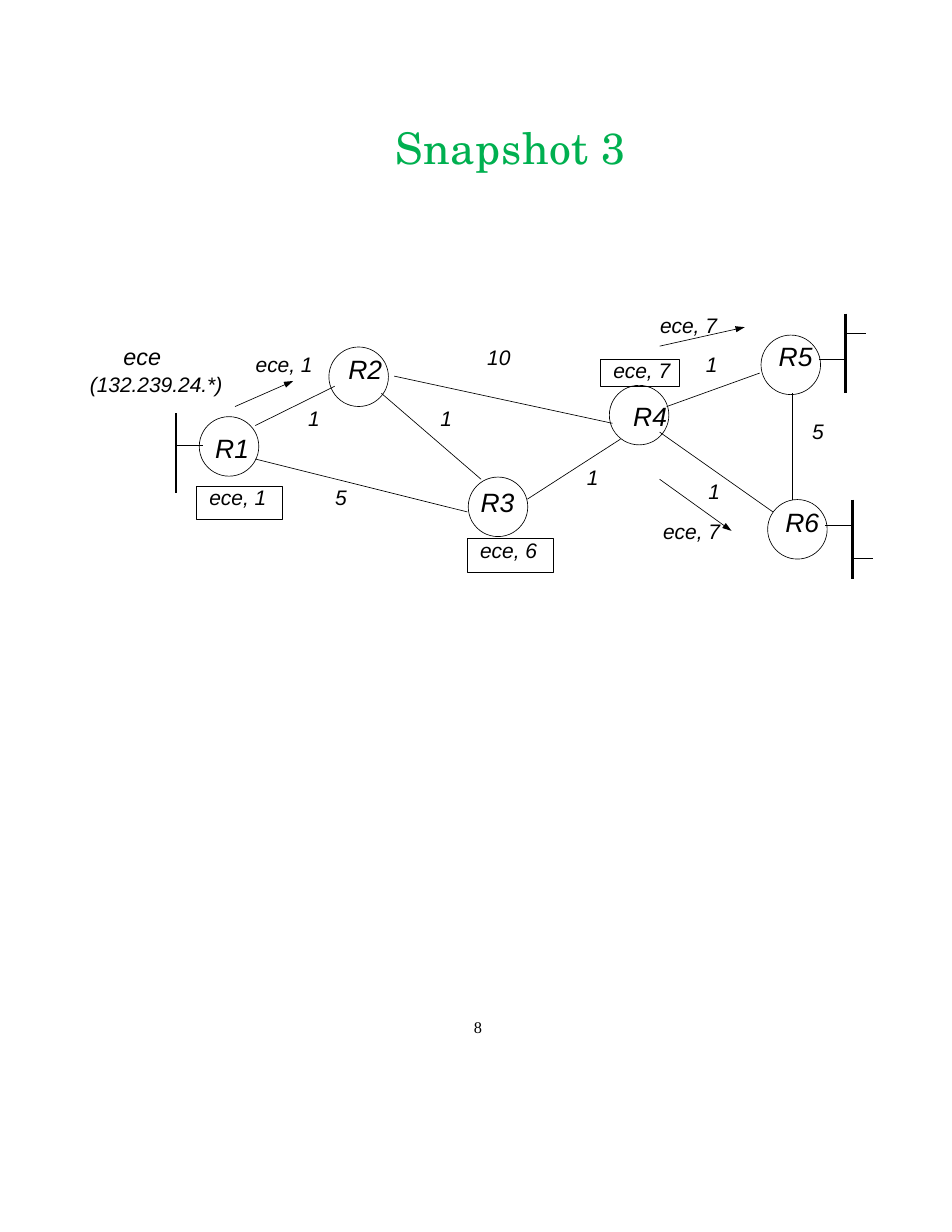
from dataclasses import dataclass
from lxml import etree
from pptx import Presentation
from pptx.dml.color import RGBColor
from pptx.enum import shapes, text
from pptx.oxml.ns import qn
from pptx.util import Cm, Pt


@dataclass(frozen=True)
class Theme:
    ink: RGBColor = RGBColor(0, 0, 0)
    green: RGBColor = RGBColor(0x00, 0xB0, 0x50)
    sans: str = "Arial"
    serif: str = "Times New Roman"
    school: str = "TeX Gyre Schola"
    title: float = 28
    node: float = 17
    host: float = 15
    label: float = 13.5
    page: float = 10.5
    thin: float = 0.43
    thick: float = 1.71


class Sketch:
    def __init__(self, slide, theme):
        self.slide, self.theme = slide, theme

    def words(self, frame, line, size=None, align=text.PP_ALIGN.LEFT,
              indent=0.03, gap=0, font=None, color=None, first=True):
        """Put one paragraph into a text frame; italic unless a font is named."""
        para = frame.paragraphs[0] if first else frame.add_paragraph()
        para.text, para.alignment = line, align
        para._p.get_or_add_pPr().set("marL", str(Cm(indent)))
        if gap:
            para.space_before = Pt(gap)
        para.font.size = Pt(size or self.theme.label)
        para.font.name = font or self.theme.sans
        para.font.italic = font is None
        para.font.color.rgb = color or self.theme.ink
        return para

    def clear(self, frame):
        frame.word_wrap = True
        frame.vertical_anchor = text.MSO_ANCHOR.TOP
        frame.margin_left = frame.margin_right = 0
        frame.margin_top = frame.margin_bottom = 0
        return frame

    def area(self, x, y, wide, high):
        box = self.slide.shapes.add_textbox(Cm(x), Cm(y), Cm(wide), Cm(high))
        return self.clear(box.text_frame)

    def label(self, line, x, y, wide=1.5, high=0.61, **style):
        return self.words(self.area(x, y, wide, high), line, **style)

    def outline(self, kind, x, y, wide, high):
        shape = self.slide.shapes.add_shape(kind, Cm(x), Cm(y), Cm(wide), Cm(high))
        shape.shadow.inherit = False
        shape.fill.background()
        shape.line.color.rgb = self.theme.ink
        shape.line.width = Pt(self.theme.thin)
        return shape

    def router(self, name, x, y, tx, ty):
        self.outline(shapes.MSO_SHAPE.OVAL, x, y, 1.35, 1.35)
        self.label(name, tx, ty, 0.9, 0.76, size=self.theme.node)

    def table(self, line, x, y, wide=1.96, high=0.76):
        """Boxed routing entry."""
        shape = self.outline(shapes.MSO_SHAPE.RECTANGLE, x, y, wide, high)
        para = self.words(self.clear(shape.text_frame), line, indent=0.3)
        para.line_spacing = Pt(15.3)

    def line(self, x1, y1, x2, y2, width=None, head=False):
        link = self.slide.shapes.add_connector(
            shapes.MSO_CONNECTOR.STRAIGHT, Cm(x1), Cm(y1), Cm(x2), Cm(y2))
        link.line.color.rgb = self.theme.ink
        link.line.width = Pt(width or self.theme.thin)
        if head:
            etree.SubElement(link.line._get_or_add_ln(), qn("a:tailEnd"),
                             type="triangle", w="sm", len="med")
        etree.SubElement(link._element.spPr, qn("a:effectLst"))


ROUTERS = [
    ("R1", 4.52, 9.45, 4.85, 9.8), ("R2", 7.46, 7.87, 7.87, 8),
    ("R3", 10.62, 10.82, 10.87, 11.02), ("R4", 13.82, 8.74, 14.33, 9.07),
    ("R5", 17.26, 7.6, 17.63, 7.72), ("R6", 17.41, 11.33, 17.78, 11.48),
]
LINKS = [
    (5.79, 9.65, 7.59, 8.76), (5.79, 10.41, 10.6, 11.61),
    (8.65, 8.92, 10.91, 10.87), (8.94, 8.53, 13.89, 9.6),
    (11.96, 11.32, 14.07, 9.96), (15.12, 9.22, 17.23, 8.46),
    (14.96, 9.8, 17.53, 11.61), (17.98, 8.92, 17.98, 11.33),
]
STUBS = [(3.99, 10.11, 0.61), (18.57, 8.15, 0.61), (18.72, 11.91, 0.61),
         (19.18, 7.57, 0.46), (19.33, 12.67, 0.46)]
LANS = [(3.99, 9.37), (19.18, 7.11), (19.33, 11.33)]
ARROWS = [(5.33, 9.22, 6.65, 8.64), (14.96, 7.85, 16.89, 7.42),
          (14.96, 10.87, 16.59, 12.04)]
LABELS = [
    ("1", 6.96, 9.19), ("1", 9.96, 9.19), ("1", 13.28, 10.54),
    ("10", 11.02, 7.82), ("1", 15.98, 7.98), ("5", 18.39, 9.5),
    ("5", 7.57, 11), ("ece, 1", 5.77, 7.98), ("ece, 7", 14.94, 7.09),
]
TABLES = [("ece, 1", 4.45, 11.02), ("ece, 6", 10.59, 12.22),
          ("ece, 7", 13.61, 8.15, 1.8, 0.61)]


def main():
    deck = Presentation()
    deck.slide_width, deck.slide_height = Cm(21.59), Cm(27.94)
    theme = Theme()
    art = Sketch(deck.slides.add_slide(deck.slide_layouts[6]), theme)

    title = art.label("Snapshot 3", 3.81, 2.74, 15.52, 1.19, size=theme.title,
                      align=text.PP_ALIGN.CENTER, font=theme.school,
                      color=theme.green)
    title.font._element.set("spc", "50")

    for router in ROUTERS:
        art.router(*router)
    for link in LINKS:
        art.line(*link)
    for x, y, wide in STUBS:
        art.line(x, y, x + wide, y)
    for x, y in LANS:
        art.line(x, y, x, y + 1.8, width=theme.thick)
    for arrow in ARROWS:
        art.line(*arrow, head=True)
    for entry in TABLES:
        art.table(*entry)
    for label in LABELS:
        art.label(*label)

    host = art.area(2.01, 7.77, 3.4, 1.27)
    art.words(host, "ece", size=theme.host, indent=0.79)
    art.words(host, "(132.239.24.*)", gap=0.6, first=False)

    pair = art.area(14.78, 10.85, 1.55, 1.52)
    right = text.PP_ALIGN.RIGHT
    art.words(pair, "1", align=right, indent=0)
    art.words(pair, "ece, 7", align=right, indent=0, gap=9.3, first=False)

    art.label("8", 10.67, 23.06, 0.5, 0.46, size=theme.page,
              indent=0.08, font=theme.serif)
    deck.save("out.pptx")


if __name__ == "__main__":
    main()
